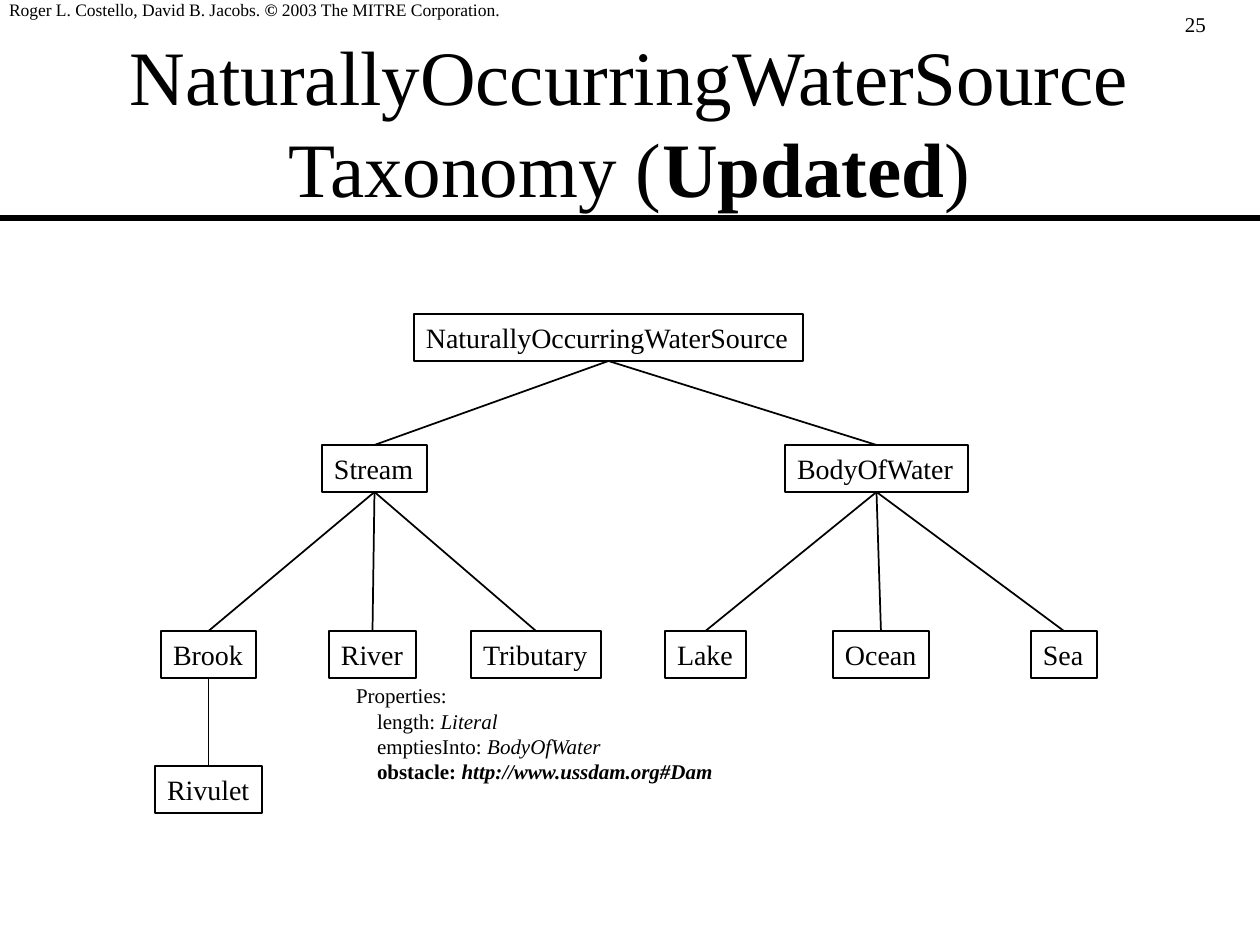
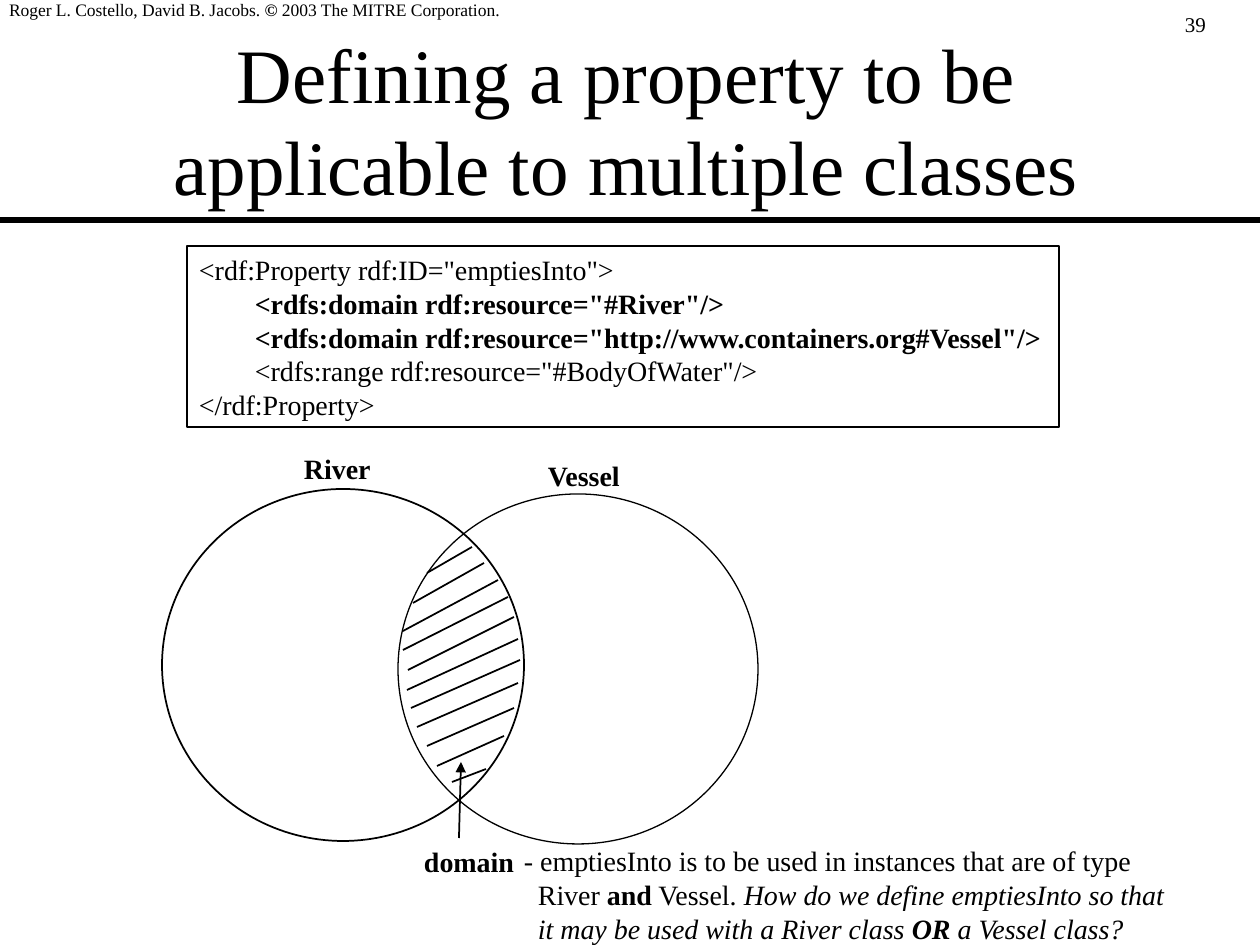
from pptx import Presentation
from pptx.dml.color import RGBColor
from pptx.enum import shapes, text
from pptx.oxml.ns import qn
from pptx.util import Emu, Pt

BLACK = RGBColor(0, 0, 0)
WHITE = RGBColor(255, 255, 255)
FACE = "Times New Roman"
SCALE = 914400 / 126
WIDE, HIGH = 1260, 945
NODE = 47
FRAME = dict(margin_left=12, margin_right=12, margin_top=7, margin_bottom=6)
RECT = shapes.MSO_SHAPE.RECTANGLE
OVAL = shapes.MSO_SHAPE.OVAL
LEFT, MID = text.PP_ALIGN.LEFT, text.PP_ALIGN.CENTER
BOTTOM, TOP = 2, 0

NODES = {
    "NaturallyOccurringWaterSource": (259, 0, 389),
    "Stream": (167, 131, 105),
    "BodyOfWater": (630, 131, 183),
    "Brook": (6, 317, 95),
    "River": (174, 317, 87),
    "Tributary": (316, 317, 130),
    "Lake": (510, 317, 81),
    "Ocean": (678, 317, 96),
    "Sea": (876, 317, 66),
    "Rivulet": (0, 452, 107),
}
KIDS = {
    "NaturallyOccurringWaterSource": ["Stream", "BodyOfWater"],
    "Stream": ["Brook", "River", "Tributary"],
    "BodyOfWater": ["Lake", "Ocean", "Sea"],
    "Brook": ["Rivulet"],
}
PROPS = [
    [("Properties:", "")],
    [("length: ", ""), ("Literal", "i")],
    [("emptiesInto: ", ""), ("BodyOfWater", "i")],
    [("obstacle: ", "b"), ("http://www.ussdam.org#Dam", "bi")],
]
CODE = [
    [('<rdf:Property rdf:ID="emptiesInto">', "")],
    [('        <rdfs:domain rdf:resource="#River"/>', "b")],
    [('        <rdfs:domain rdf:resource="http://www.containers.org#Vessel"/>', "b")],
    [('        <rdfs:range rdf:resource="#BodyOfWater"/>', "")],
    [("</rdf:Property>", "")],
]
NOTE = [
    [("- emptiesInto is to be used in instances that are of type", "")],
    [("River ", ""), ("and", "b"), (" Vessel. ", ""),
     ("How do we define emptiesInto so that", "i")],
    [("it may be used with a River class ", "i"), ("OR ", "bi"),
     ("a Vessel class?", "i")],
]
CREDIT = [[("Roger L. Costello, David B. Jacobs. ", ""), ("©", "b"),
           (" 2003 The MITRE Corporation.", "")]]
HATCH = [
    (310, 102, 265, 128), (322, 118, 251, 158), (336, 135, 241, 186),
    (346, 152, 241, 205), (352, 172, 246, 225), (356, 194, 245, 245),
    (358, 215, 249, 263), (356, 238, 255, 282), (352, 263, 265, 301),
    (342, 291, 275, 321), (324, 324, 290, 337),
]


def px(*sizes):
    return [Emu(round(size * SCALE)) for size in sizes]


def apply(item, values):
    for name, value in values.items():
        setattr(item, name, value)


def write(shape, lines, size, wrap=True, align=LEFT, indents=()):
    frame = shape.text_frame
    apply(frame, {name: px(gap)[0] for name, gap in FRAME.items()})
    apply(frame, dict(word_wrap=wrap, vertical_anchor=text.MSO_ANCHOR.TOP))
    for row, runs in enumerate(lines):
        para = frame.add_paragraph() if row else frame.paragraphs[0]
        if indents:
            left, first = px(*indents[row])
            prop = para._p.get_or_add_pPr()
            prop.set("marL", str(left))
            prop.set("indent", str(first))
        apply(para, dict(alignment=align, line_spacing=Pt(round(size * 1.2, 1))))
        for words, style in runs:
            run = para.add_run()
            run.text = words
            apply(run.font, dict(name=FACE, size=Pt(size),
                                 bold="b" in style, italic="i" in style))
            run.font.color.rgb = BLACK
    return frame


def label(slide, box, lines, size, **style):
    return write(slide.shapes.add_textbox(*px(*box)), lines, size, **style)


def outline(slide, kind, box, width=1, fill=None):
    shape = slide.shapes.add_shape(kind, *px(*box))
    shape.shadow.inherit = False
    if fill is None:
        shape.fill.background()
    else:
        shape.fill.solid()
        shape.fill.fore_color.rgb = fill
    shape.line.color.rgb = BLACK
    shape.line.width = Pt(width)
    return shape


def stroke(slide, ends, width=1, arrow=False):
    line = slide.shapes.add_connector(shapes.MSO_CONNECTOR.STRAIGHT, *px(*ends))
    line.line.color.rgb = BLACK
    line.line.width = Pt(width)
    prop = line._element.spPr
    if arrow:
        tail = line.line._get_or_add_ln()
        tail.append(tail.makeelement(qn("a:tailEnd"), {"type": "triangle"}))
    prop.append(prop.makeelement(qn("a:effectLst"), {}))
    return line


def shift(left, top, ends):
    return [at + move for at, move in zip(ends, (left, top, left, top))]


def base(deck, title, number, left, top, rule):
    slide = deck.slides.add_slide(deck.slide_layouts[6])
    label(slide, (1173, 5, 60, 38), [[(number, "")]], 12, wrap=False)
    label(slide, (-3, -8, 524, 34), CREDIT, 10)
    frame = label(slide, (left, top, 1071, 158), [title], 44, align=MID)
    frame.vertical_anchor = text.MSO_ANCHOR.MIDDLE
    stroke(slide, (0, rule, WIDE, rule), 3)
    return slide


def tree(slide, left, top):
    nodes = {}
    for name, (x, y, wide) in NODES.items():
        nodes[name] = outline(slide, RECT, (left + x, top + y, wide, NODE))
        write(nodes[name], [[(name, "")]], 16, wrap=False)
    for name, kids in KIDS.items():
        for kid in kids:
            line = stroke(slide, (0, 0, 0, 0))
            line.begin_connect(nodes[name], BOTTOM)
            line.end_connect(nodes[kid], TOP)
    label(slide, (left + 189, top + 362, 395, 113), PROPS, 12,
          indents=[(0, 0)] + [(21, 0)] * 3)


def code(slide, box):
    write(outline(slide, RECT, box), CODE, 16)


def venn(slide, left, top):
    outline(slide, OVAL, (left, top + 44, 362, 352), fill=WHITE)
    outline(slide, OVAL, (left + 236, top + 49, 360, 350), 0.75)
    for name, x, y, wide in (("River", 130, 0, 110), ("Vessel", 374, 7, 115),
                             ("domain", 250, 393, 135)):
        label(slide, (left + x, top + y, wide, NODE), [[(name, "b")]], 16)
    for ends in HATCH:
        stroke(slide, shift(left, top, ends))
    stroke(slide, shift(left, top, (297, 393, 299, 317)), arrow=True)
    label(slide, (left + 343, top + 392, 690, 108), NOTE, 16,
          indents=[(21, -14), (21, 0), (21, 0)])


def main():
    deck = Presentation()
    deck.slide_width, deck.slide_height = px(WIDE, HIGH)
    title = [("NaturallyOccurringWaterSource Taxonomy (", ""),
             ("Updated", "b"), (")", "")]
    tree(base(deck, title, "25", 94, 41, 218), 155, 314)
    title = [("Defining a property to be applicable to multiple classes", "")]
    slide = base(deck, title, "39", 91, 39, 220)
    code(slide, (187, 246, 872, 181))
    venn(slide, 162, 445)
    deck.save("out.pptx")


if __name__ == "__main__":
    main()
